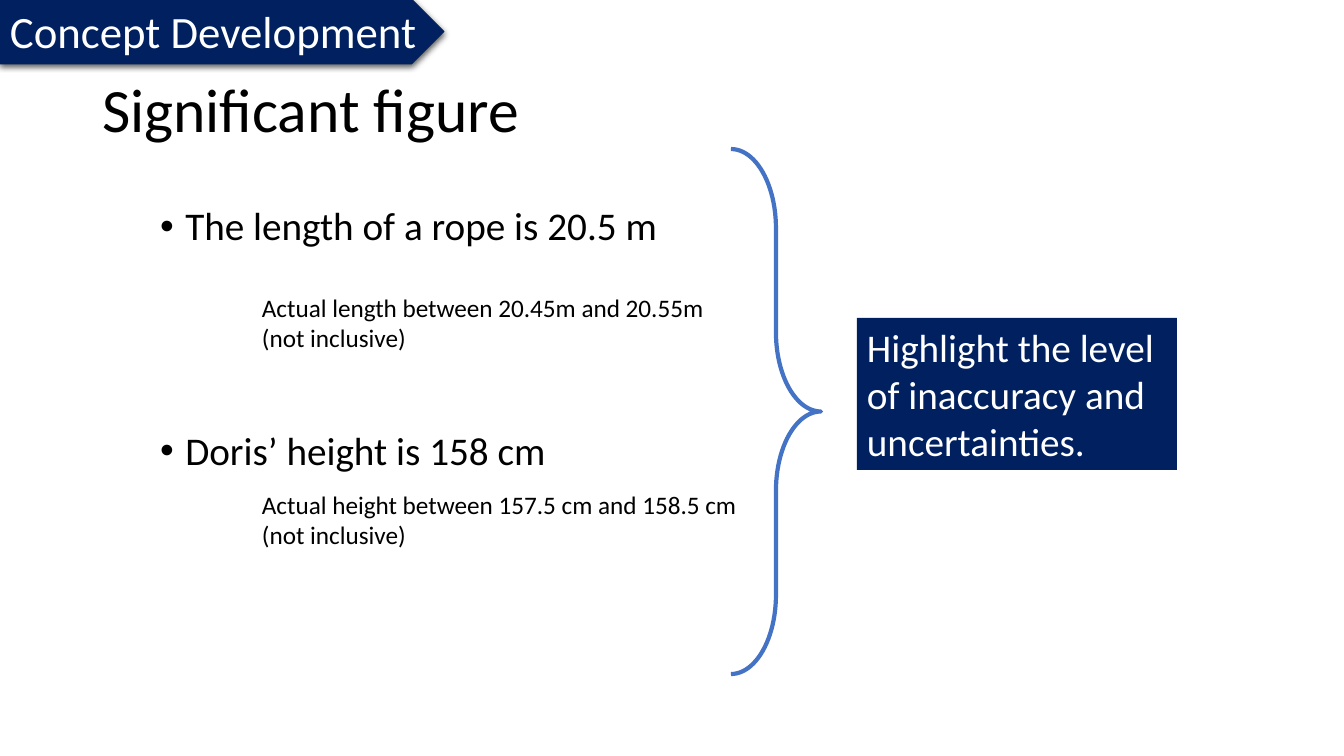
from lxml import etree
from pptx import Presentation
from pptx.dml.color import RGBColor
from pptx.enum.shapes import MSO_SHAPE as Shape
from pptx.enum.text import MSO_ANCHOR as Anchor, MSO_AUTO_SIZE as AutoSize, PP_ALIGN as Align
from pptx.oxml import parse_xml
from pptx.oxml.ns import nsdecls, qn
from pptx.util import Emu, Pt

COLORS = {"black": "000000", "white": "FFFFFF", "navy": "002060", "blue": "4472C4"}
FONT = "Calibri"


def px(length):
    """Turn pixels into EMU at 100.8 pixels to the inch."""
    return Emu(round(length * 914400 / 100.8))


def color(name):
    """Look up a named colour."""
    return RGBColor.from_string(COLORS[name])


def place(shape, left, top, width, height):
    """Move and size a shape in pixels."""
    shape.left, shape.top = px(left), px(top)
    shape.width, shape.height = px(width), px(height)


def write(para, text, size, ink="black"):
    """Put left-aligned text in a paragraph and set its font."""
    para.text = text
    para.alignment = Align.LEFT
    para.font.name = FONT
    para.font.size = Pt(size)
    para.font.color.rgb = color(ink)


def set_title(slide, text):
    """Fill the title placeholder."""
    title = slide.shapes.title
    place(title, 92, 40, 1159, 146)
    frame = title.text_frame
    frame.auto_size = AutoSize.NONE
    frame.vertical_anchor = Anchor.MIDDLE
    write(frame.paragraphs[0], text, 44)
    frame.paragraphs[0].line_spacing = 0.9


def set_bullets(slide, lines, gap):
    """Fill the body placeholder with bullets set apart by a gap in points."""
    body = slide.placeholders[1]
    place(body, 150, 202, 941, 480)
    frame = body.text_frame
    frame.auto_size = AutoSize.NONE
    for index, text in enumerate(lines):
        para = frame.paragraphs[0] if index == 0 else frame.add_paragraph()
        properties = para._p.get_or_add_pPr()
        properties.set("marL", "228600")
        properties.set("indent", "-228600")
        etree.SubElement(properties, qn("a:buFont")).set("typeface", "Arial")
        etree.SubElement(properties, qn("a:buChar")).set("char", "•")
        write(para, text, 28)
        para.line_spacing = 0.9
        para.space_before = Pt(gap if index else 0)


def add_note(slide, text, left, top, width, height):
    """Add a small explanation under a bullet."""
    box = slide.shapes.add_textbox(px(left), px(top), px(width), px(height))
    frame = box.text_frame
    frame.word_wrap = True
    frame.auto_size = AutoSize.SHAPE_TO_FIT_TEXT
    write(frame.paragraphs[0], text, 18)


def add_shape(slide, kind, left, top, width, height):
    """Add a preset shape without a shadow."""
    shape = slide.shapes.add_shape(kind, px(left), px(top), px(width), px(height))
    shape.shadow.inherit = False
    return shape


def add_label(slide, kind, text, size, bounds, wrap=True):
    """Add a navy shape with white text."""
    label = add_shape(slide, kind, *bounds)
    label.fill.solid()
    label.fill.fore_color.rgb = color("navy")
    label.line.fill.background()
    frame = label.text_frame
    frame.word_wrap = wrap
    frame.auto_size = AutoSize.SHAPE_TO_FIT_TEXT
    frame.vertical_anchor = Anchor.TOP
    write(frame.paragraphs[0], text, size, "white")
    return label


def outline(shape, ink, width):
    """Give a shape a line of a width in points."""
    shape.line.color.rgb = color(ink)
    shape.line.width = Pt(width)


def add_drop_shadow(shape):
    """Add a soft shadow straight below a shape."""
    effects = shape._element.spPr.find(qn("a:effectLst"))
    effects.append(parse_xml(
        f'<a:outerShdw {nsdecls("a")} blurRad="{Pt(4.5)}" dist="{Pt(1.5)}" dir="5400000" rotWithShape="0">'
        f'<a:srgbClr val="{COLORS["black"]}"><a:alpha val="63000"/></a:srgbClr></a:outerShdw>'))


def main():
    """Build the slide and save the deck."""
    deck = Presentation()
    deck.slide_width, deck.slide_height = px(1344), px(756)
    slide = deck.slides.add_slide(deck.slide_layouts[1])

    set_title(slide, "Significant figure")
    set_bullets(slide, ["The length of a rope is 20.5 m", "Doris’ height is 158 cm"], 130)
    add_note(slide, "Actual length between 20.45m and 20.55m (not inclusive)", 252, 287, 503, 72)
    add_note(slide, "Actual height between 157.5 cm and 158.5 cm (not inclusive)", 252, 484, 525, 72)

    brace = add_shape(slide, Shape.RIGHT_BRACE, 731, 149, 90, 525)
    brace.adjustments[0] = 0.88
    brace.fill.background()
    outline(brace, "blue", 3)

    add_label(slide, Shape.RECTANGLE, "Highlight the level of inaccuracy and uncertainties.", 28,
              (857, 318, 320, 152))
    banner = add_label(slide, Shape.PENTAGON, "Concept Development", 32, (0, -1, 444, 65), wrap=False)
    outline(banner, "navy", 0.75)
    add_drop_shadow(banner)

    deck.save("out.pptx")


if __name__ == "__main__":
    main()
